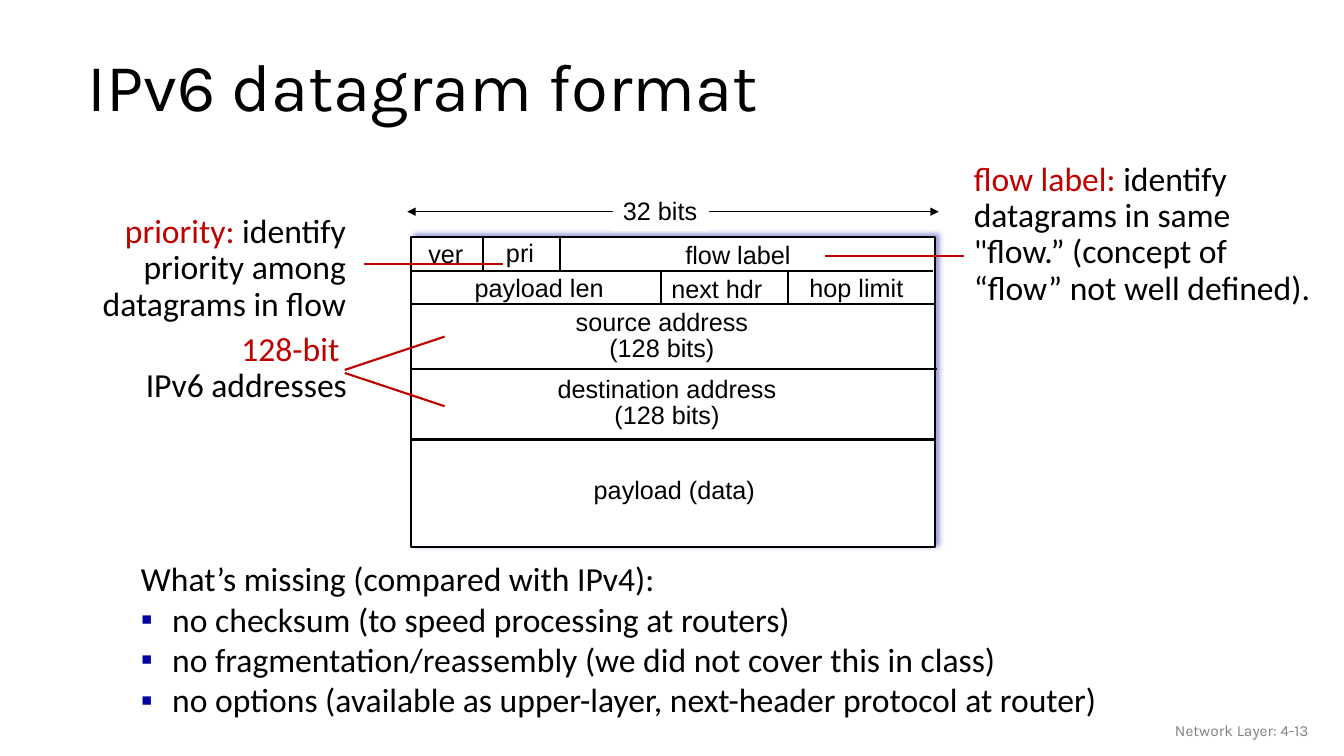
"""Build a slide that explains the IPv6 datagram format."""
import pptx
import pptx.dml.color
import pptx.enum.shapes
import pptx.enum.text
import pptx.oxml
import pptx.oxml.ns
import pptx.util

Inches = pptx.util.Inches
Align = pptx.enum.text.PP_ALIGN
Anchor = pptx.enum.text.MSO_ANCHOR
BLACK, RED, NAVY, GREY, WHITE = "000000", "C00000", "0000A3", "808080", "FFFFFF"


def rgb(value):
    return pptx.dml.color.RGBColor.from_string(value)


def add_xml(parent, body):
    namespace = pptx.oxml.ns.nsdecls("a")
    tag, rest = body[:-1].split(">", 1) if "</" in body else (body[:-2], None)
    markup = f"{tag} {namespace}/>" if rest is None else f"{tag} {namespace}>{rest}>"
    parent.append(pptx.oxml.parse_xml(markup))


class DatagramSlide:
    label_font, note_font, title_font = "Arial", "Calibri", "Karla"
    label_size, note_size = 18, 24

    def __init__(self, deck):
        self.slide = deck.slides.add_slide(deck.slide_layouts[6])

    def text(self, paragraphs, box, *, font=label_font, size=label_size, color=BLACK,
             align=Align.LEFT, spacing=None, anchor=Anchor.TOP, wrap=False,
             fill=None, bullets_from=None):
        shape = self.slide.shapes.add_textbox(*map(Inches, box))
        if fill:
            shape.fill.solid()
            shape.fill.fore_color.rgb = rgb(fill)
        frame = shape.text_frame
        frame.word_wrap = wrap
        frame.vertical_anchor = anchor
        for index, runs in enumerate(paragraphs):
            paragraph = frame.paragraphs[0] if index == 0 else frame.add_paragraph()
            paragraph.alignment = align
            if spacing:
                paragraph.line_spacing = spacing
            if bullets_from is not None and index >= bullets_from:
                self.bullet(paragraph)
            for words, run_color in [(runs, color)] if isinstance(runs, str) else runs:
                run = paragraph.add_run()
                run.text = words
                run.font.name = font
                run.font.size = pptx.util.Pt(size)
                run.font.color.rgb = rgb(run_color)

    def bullet(self, paragraph):
        properties = paragraph._p.get_or_add_pPr()
        properties.set("marL", str(Inches(0.31)))
        properties.set("indent", str(Inches(-0.31)))
        add_xml(properties, f'<a:buClr><a:srgbClr val="{NAVY}"/></a:buClr>')
        add_xml(properties, '<a:buFont typeface="Arial"/>')
        add_xml(properties, '<a:buChar char="▪"/>')

    def note(self, paragraphs, box, **style):
        self.text(paragraphs, box, font=self.note_font, size=self.note_size,
                  wrap=True, **style)

    def line(self, start, end, color=BLACK, width=1.5, arrows=False):
        connector = self.slide.shapes.add_connector(
            pptx.enum.shapes.MSO_CONNECTOR.STRAIGHT, *map(Inches, start + end))
        connector.line.color.rgb = rgb(color)
        connector.line.width = pptx.util.Pt(width)
        if arrows:
            outline = connector.line._get_or_add_ln()
            for tip in ("headEnd", "tailEnd"):
                add_xml(outline, f'<a:{tip} type="triangle"/>')
        add_xml(connector._element.spPr, "<a:effectLst/>")

    def frame(self, box):
        datagram = self.slide.shapes.add_shape(
            pptx.enum.shapes.MSO_SHAPE.RECTANGLE, *map(Inches, box))
        datagram.fill.solid()
        datagram.fill.fore_color.rgb = rgb(WHITE)
        datagram.line.color.rgb = rgb(BLACK)
        datagram.line.width = pptx.util.Pt(1.5)
        add_xml(datagram._element.spPr,
                f'<a:effectLst><a:outerShdw blurRad="{pptx.util.Pt(4)}" '
                f'dist="{pptx.util.Pt(3)}" dir="18900000" algn="bl" rotWithShape="0">'
                f'<a:srgbClr val="{NAVY}"><a:alpha val="40000"/></a:srgbClr>'
                '</a:outerShdw></a:effectLst>')


def main():
    deck = pptx.Presentation()
    deck.slide_width, deck.slide_height = Inches(13.33), Inches(7.5)
    page = DatagramSlide(deck)

    page.text(["IPv6 datagram format"], (0.77, 0.31, 11.5, 1.17), font=page.title_font,
              size=48, spacing=0.9, anchor=Anchor.MIDDLE, wrap=True)

    page.frame((4.08, 2.35, 5.19, 3.08))
    for left, right, y in [(4.08, 9.25, 2.69), (4.07, 9.28, 3.02),
                           (4.09, 9.29, 3.66), (4.07, 9.28, 4.36)]:
        page.line((left, y), (right, y))
    for top, bottom, dividers in [(2.36, 2.69, (4.79, 5.55)), (2.69, 3.01, (6.56, 7.82))]:
        for x in dividers:
            page.line((x, top), (x, bottom))

    for field, left, top, width in [
            ("ver", 4.15, 2.32, 0.55), ("pri", 4.92, 2.31, 0.48),
            ("flow label", 6.7, 2.33, 1.24), ("payload len", 4.61, 2.65, 1.48),
            ("next hdr", 6.56, 2.66, 1.1), ("hop limit", 7.93, 2.65, 1.13),
            ("payload (data)", 5.79, 4.66, 1.81)]:
        page.text([field], (left, top, width, 0.4))
    for address, left, top, width in [("source address", 5.61, 3.04, 1.91),
                                      ("destination address", 5.43, 3.7, 2.37)]:
        page.text([address, "(128 bits)"], (left, top, width, 0.61),
                  align=Align.CENTER, spacing=0.85)

    page.line((4.04, 2.1), (9.31, 2.1), width=0.75, arrows=True)
    page.text(["32 bits"], (6.08, 1.89, 0.95, 0.4), fill=WHITE)

    page.note([[("priority: ", RED), ("identify priority among datagrams in flow", BLACK)]],
              (0.17, 2.08, 3.36, 1.19), align=Align.RIGHT, spacing=0.9)
    page.note([[("flow label: ", RED),
                ("identify datagrams in same \"flow.” (concept of “flow” not well defined).",
                 BLACK)]],
              (9.56, 1.56, 3.54, 1.56), spacing=0.9)
    page.note([[("128-bit ", RED)], "IPv6 addresses"],
              (0, 3.25, 3.54, 0.83), align=Align.RIGHT, spacing=0.9)
    for start, end in [((3.61, 2.62), (4.99, 2.62)), ((8.18, 2.54), (9.56, 2.54)),
                       ((3.42, 3.7), (4.41, 4.03)), ((3.42, 3.67), (4.41, 3.34))]:
        page.line(start, end, color=RED)

    page.note(["What’s missing (compared with IPv4):",
               "no checksum (to speed processing at routers)",
               "no fragmentation/reassembly (we did not cover this in class)",
               "no options (available as upper-layer, next-header protocol at router)"],
              (1.3, 5.49, 9.81, 1.72), bullets_from=1)
    page.text(["Network Layer: 4-13"], (10.08, 7.05, 3, 0.4), font=page.title_font, size=11,
              color=GREY, align=Align.RIGHT, anchor=Anchor.MIDDLE, wrap=True)

    deck.save("out.pptx")


if __name__ == "__main__":
    main()
